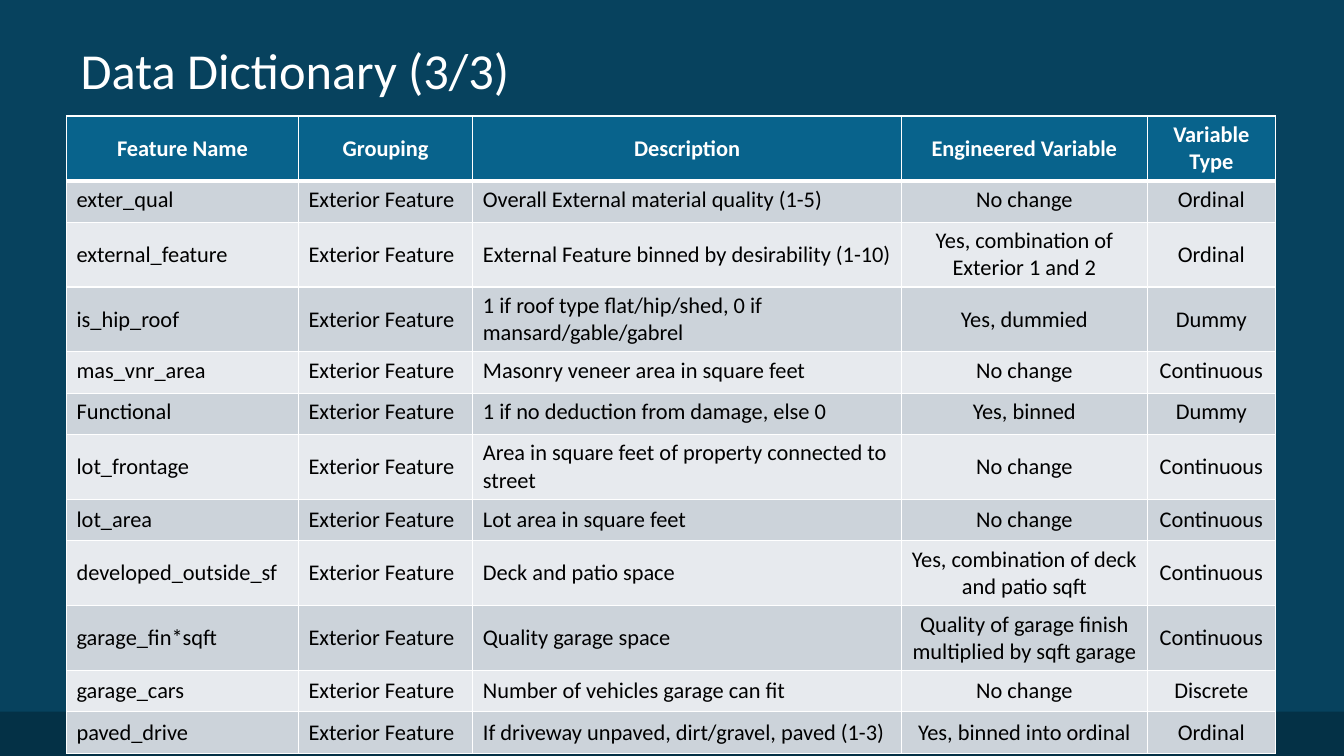
from dataclasses import dataclass

from lxml import etree
from pptx import Presentation
from pptx.dml.color import RGBColor
from pptx.enum.shapes import MSO_SHAPE
from pptx.enum.text import MSO_ANCHOR, PP_ALIGN
from pptx.oxml.ns import qn
from pptx.slide import Slide
from pptx.table import _Cell
from pptx.util import Emu, Pt

PX = 9144  # 100 px to the inch
SLIDE_W, SLIDE_H = 1333, 750
FONT = "Calibri"
WHITE, BLACK = "FFFFFF", "000000"
BACKGROUND, FOOTER = "07425E", "043146"
HEADER_FILL = "08638C"
BAND_FILLS = ("CCD3DA", "E7EAEE")
LEFT, CENTER = PP_ALIGN.LEFT, PP_ALIGN.CENTER
TOP, MIDDLE = MSO_ANCHOR.TOP, MSO_ANCHOR.MIDDLE
RECTANGLE = MSO_SHAPE.RECTANGLE
TITLE_ONLY = 5
TABLE_LEFT, TABLE_TOP, ROW_H = 66, 115, 41
GROUPING = "Exterior Feature"


@dataclass
class Column:
    heading: str
    width: int
    align: PP_ALIGN


@dataclass
class Feature:
    name: str
    description: str
    engineered: str
    variable_type: str
    anchor: MSO_ANCHOR = MIDDLE

    def texts(self) -> list[str]:
        return [self.name, GROUPING, self.description,
                self.engineered, self.variable_type]


COLUMNS = [
    Column("Feature Name", 230, LEFT),
    Column("Grouping", 173, LEFT),
    Column("Description", 425, LEFT),
    Column("Engineered Variable", 244, CENTER),
    Column("Variable Type", 127, CENTER),
]

FEATURES = [
    Feature("exter_qual", "Overall External material quality (1-5)",
            "No change", "Ordinal", TOP),
    Feature("external_feature", "External Feature binned by desirability (1-10)",
            "Yes, combination of Exterior 1 and 2", "Ordinal"),
    Feature("is_hip_roof", "1 if roof type flat/hip/shed, 0 if mansard/gable/gabrel",
            "Yes, dummied", "Dummy"),
    Feature("mas_vnr_area", "Masonry veneer area in square feet",
            "No change", "Continuous", TOP),
    Feature("Functional", "1 if no deduction from damage, else 0",
            "Yes, binned", "Dummy", TOP),
    Feature("lot_frontage", "Area in square feet of property connected to street",
            "No change", "Continuous"),
    Feature("lot_area", "Lot area in square feet", "No change", "Continuous"),
    Feature("developed_outside_sf", "Deck and patio space",
            "Yes, combination of deck and patio sqft", "Continuous"),
    Feature("garage_fin*sqft", "Quality garage space",
            "Quality of garage finish multiplied by sqft garage", "Continuous"),
    Feature("garage_cars", "Number of vehicles garage can fit",
            "No change", "Discrete"),
    Feature("paved_drive", "If driveway unpaved, dirt/gravel, paved (1-3)",
            "Yes, binned into ordinal", "Ordinal"),
]


def px(n: int) -> Emu:
    return Emu(n * PX)


def rgb(color: str) -> RGBColor:
    return RGBColor.from_string(color)


def format_text(tf, size: int, color: str, align: PP_ALIGN, bold: bool = False) -> None:
    for p in tf.paragraphs:
        p.alignment = align
        for r in p.runs:
            r.font.name = FONT
            r.font.size = Pt(size)
            r.font.bold = bold
            r.font.color.rgb = rgb(color)


def add_borders(cell: _Cell, top: int, bottom: int) -> None:
    """Draw white borders; widths are in points."""
    tc_pr = cell._tc.get_or_add_tcPr()
    for tag, width in (("a:lnL", 1), ("a:lnR", 1), ("a:lnT", top), ("a:lnB", bottom)):
        ln = etree.SubElement(tc_pr, qn(tag), w=str(Pt(width)))
        fill = etree.SubElement(ln, qn("a:solidFill"))
        etree.SubElement(fill, qn("a:srgbClr"), val=WHITE)


def add_title(s: Slide, text: str) -> None:
    sp = s.shapes.title
    sp.left, sp.top, sp.width, sp.height = px(67), px(30), px(1200), px(78)
    tf = sp.text_frame
    tf.text = text
    tf.word_wrap = True
    tf.vertical_anchor = MIDDLE
    tf.margin_left = tf.margin_right = px(13)
    tf.margin_top = tf.margin_bottom = px(7)
    format_text(tf, 36, WHITE, LEFT)


def add_footer_band(s: Slide) -> None:
    sp = s.shapes.add_shape(RECTANGLE, 0, px(706), px(SLIDE_W), px(SLIDE_H - 706))
    sp.shadow.inherit = False
    sp.fill.solid()
    sp.fill.fore_color.rgb = rgb(FOOTER)
    sp.line.fill.background()


def fill_cell(cell: _Cell, text: str, row: int, align: PP_ALIGN, anchor: MSO_ANCHOR) -> None:
    header = row == 0
    cell.text = text
    cell.vertical_anchor = anchor
    format_text(cell.text_frame, 16, WHITE if header else BLACK, align, header)
    add_borders(cell, top=3 if row == 1 else 1, bottom=3 if header else 1)
    cell.fill.solid()
    cell.fill.fore_color.rgb = rgb(HEADER_FILL if header else BAND_FILLS[(row - 1) % 2])


def add_feature_table(s: Slide) -> None:
    n_rows = len(FEATURES) + 1
    width = sum(column.width for column in COLUMNS)
    table = s.shapes.add_table(n_rows, len(COLUMNS), px(TABLE_LEFT), px(TABLE_TOP),
                               px(width), px(n_rows * ROW_H)).table
    for row in table.rows:
        row.height = px(ROW_H)
    for j, column in enumerate(COLUMNS):
        table.columns[j].width = px(column.width)
        fill_cell(table.cell(0, j), column.heading, 0, CENTER, MIDDLE)
    for i, feature in enumerate(FEATURES, start=1):
        for j, text in enumerate(feature.texts()):
            fill_cell(table.cell(i, j), text, i, COLUMNS[j].align, feature.anchor)


def main() -> None:
    prs = Presentation()
    prs.slide_width, prs.slide_height = px(SLIDE_W), px(SLIDE_H)
    s = prs.slides.add_slide(prs.slide_layouts[TITLE_ONLY])
    s.background.fill.solid()
    s.background.fill.fore_color.rgb = rgb(BACKGROUND)
    add_footer_band(s)
    add_title(s, "Data Dictionary (3/3)")
    add_feature_table(s)
    prs.save("out.pptx")


if __name__ == "__main__":
    main()
